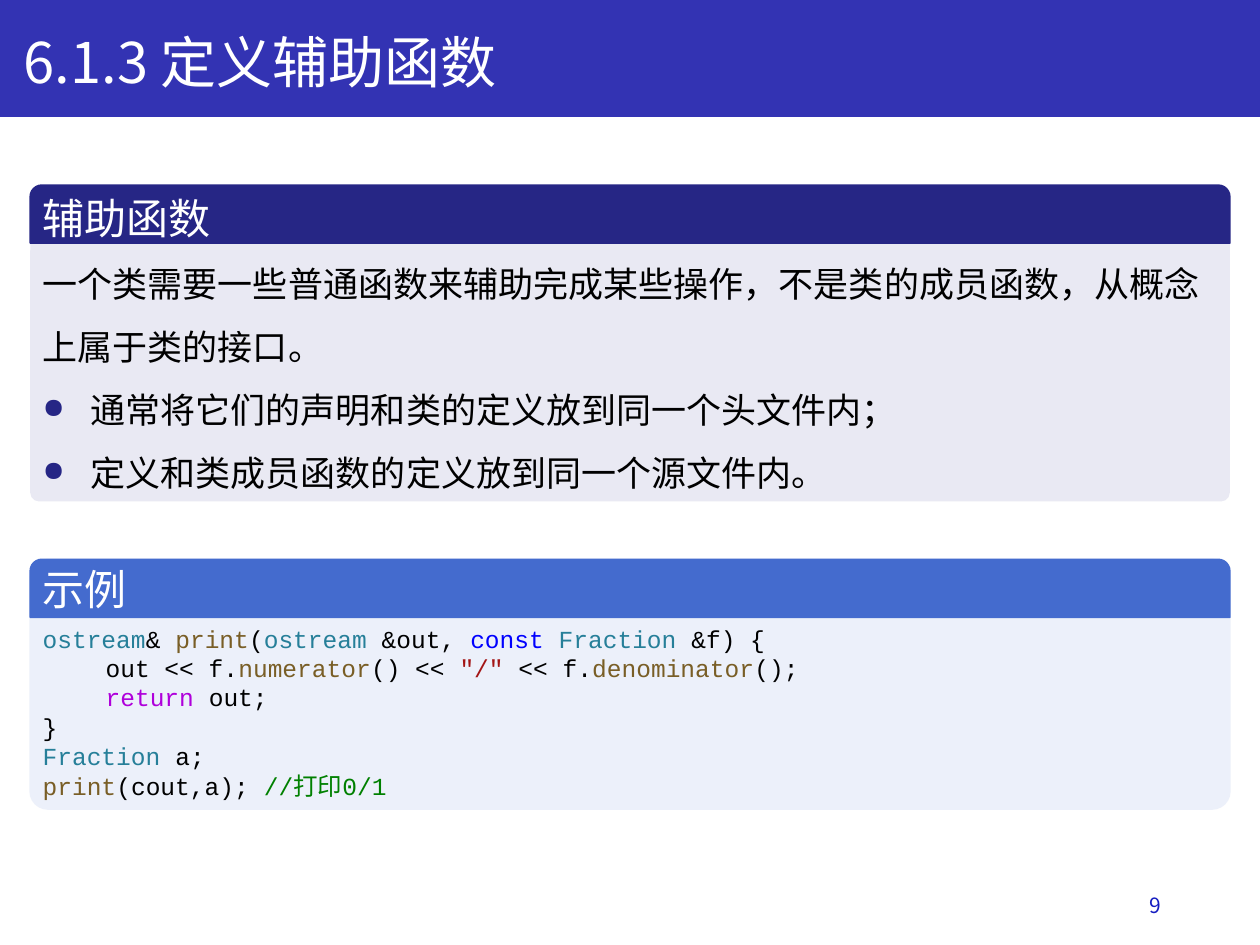
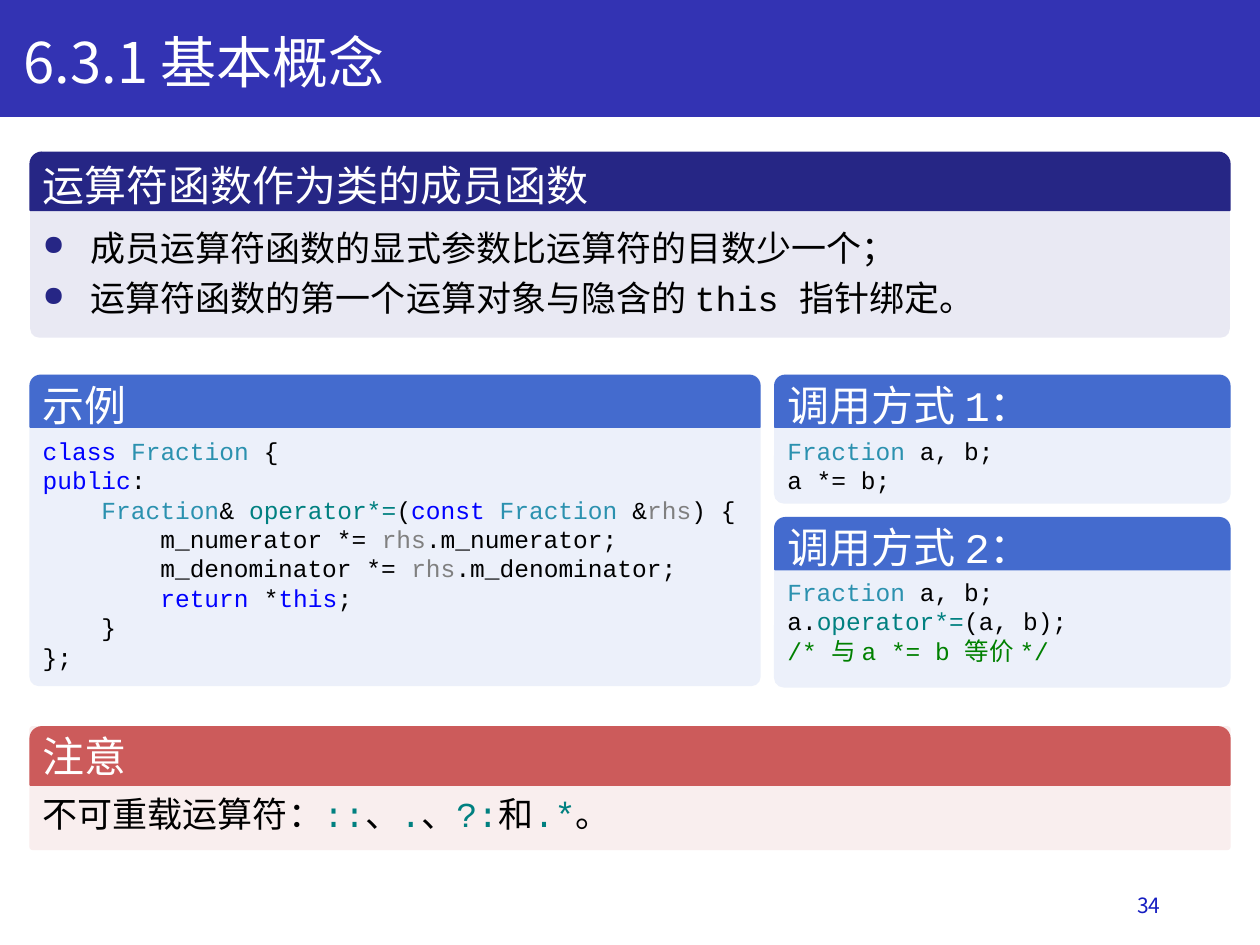
import lxml.etree
import pptx
import pptx.dml.color
import pptx.enum.shapes
import pptx.enum.text
import pptx.oxml.ns
import pptx.util

Inches = pptx.util.Inches
SHAPES = pptx.enum.shapes.MSO_SHAPE
ALIGN = pptx.enum.text.PP_ALIGN
ANCHOR = pptx.enum.text.MSO_ANCHOR

SANS, MONO = "Noto Sans CJK SC", "Courier New"
COLOURS = {
    "band": "3333B3", "number": "151DC1", "white": "FFFFFF", "black": "000000",
    "concept head": "262685", "concept body": "E9E9F3",
    "code head": "446BCE", "code body": "ECF0FA",
    "warning head": "CC5B5B", "warning body": "F9EEEE",
    "type": "267F99", "function": "795E26", "keyword": "0000FF",
    "string": "A31515", "control": "AF00DB", "comment": "008000",
    "class": "2B91AF", "operator": "008080", "parameter": "808080",
}
LEFT, FULL_WIDTH = 0.24, 9.52
RADIUS = 0.07
INDENT = 0.38
TAB = 0.5


def rgb(name):
    return pptx.dml.color.RGBColor.from_string(COLOURS[name])


def add_xml(parent, tag, **attributes):
    return lxml.etree.SubElement(parent, pptx.oxml.ns.qn(tag), attributes)


def add_bullet(properties):
    properties.set("marL", str(Inches(INDENT)))
    properties.set("indent", str(-Inches(INDENT)))
    colour = add_xml(properties, "a:buClr")
    add_xml(colour, "a:srgbClr", val=COLOURS["concept head"])
    add_xml(properties, "a:buSzPct", val="80000")
    add_xml(properties, "a:buChar", char="●")


def write(frame, lines, *, size, font=SANS, colour="black", align=ALIGN.LEFT,
          spacing=None, bullets_from=None):
    """Fill a frame; a line is a string or a list of strings and
    (text, colour[, font]) tuples."""
    for index, line in enumerate(lines):
        paragraph = frame.paragraphs[0] if index == 0 else frame.add_paragraph()
        properties = paragraph._p.get_or_add_pPr()
        if bullets_from is not None and index >= bullets_from:
            add_bullet(properties)
        tabs = add_xml(properties, "a:tabLst")
        add_xml(tabs, "a:tab", pos=str(Inches(TAB)), algn="l")
        paragraph.alignment = align
        if spacing:
            paragraph.line_spacing = spacing
        for part in [line] if isinstance(line, str) else line:
            text, tone, face = ((part,) if isinstance(part, str) else part) + (
                (colour, font) if isinstance(part, str) else (font,) * (3 - len(part)))
            run = paragraph.add_run()
            run.text = text
            run.font.size = pptx.util.Pt(size)
            run.font.name = face
            run.font.color.rgb = rgb(tone)
            add_xml(run._r.get_or_add_rPr(), "a:ea", typeface=SANS)


class Deck:
    def __init__(self):
        self.presentation = pptx.Presentation()
        self.presentation.slide_width = Inches(10)
        self.presentation.slide_height = Inches(7.5)
        self.slide = None

    def start_slide(self, title, number):
        self.slide = self.presentation.slides.add_slide(
            self.presentation.slide_layouts[6])
        self.shape(SHAPES.RECTANGLE, 0, 0, 10, 0.92, "band", outlined=True)
        self.text(7.06, 6.98, 2.25, 0.4, [number], size=12, colour="number",
                  align=ALIGN.RIGHT, anchor=ANCHOR.MIDDLE)
        self.text(0.09, 0.17, 9.67, 0.64, [title], size=32, colour="white")

    def shape(self, kind, left, top, width, height, fill, radius=None, outlined=False):
        shape = self.slide.shapes.add_shape(
            kind, Inches(left), Inches(top), Inches(width), Inches(height))
        shape.shadow.inherit = False
        shape.fill.solid()
        shape.fill.fore_color.rgb = rgb(fill)
        if outlined:
            shape.line.color.rgb = rgb(fill)
            shape.line.width = pptx.util.Pt(1)
        else:
            shape.line.fill.background()
        if radius:
            shape.adjustments[0] = radius / min(width, height)

    def text(self, left, top, width, height, lines, anchor=ANCHOR.TOP, **style):
        frame = self.slide.shapes.add_textbox(
            Inches(left), Inches(top), Inches(width), Inches(height)).text_frame
        frame.word_wrap = True
        frame.vertical_anchor = anchor
        write(frame, lines, **style)

    def panel(self, kind, heading, lines, *, top, height, left=LEFT,
              width=FULL_WIDTH, head_height=0.46, gap=0.01, radius=RADIUS, **style):
        """Rounded block with a coloured heading bar above its body text."""
        concept = kind == "concept"
        self.shape(SHAPES.ROUNDED_RECTANGLE, left, top, width, height,
                   f"{kind} body", radius, outlined=not concept)
        self.shape(SHAPES.ROUND_2_SAME_RECTANGLE, left, top, width, head_height,
                   f"{kind} head", 0.2 * head_height, outlined=True)
        self.text(left, top + (0.01 if concept else -0.02), width, 0.5, [heading],
                  size=24, font=SANS if concept else MONO, colour="white")
        body_offset = head_height + gap
        self.text(left, top + body_offset, width, height - body_offset, lines, **style)

    def code(self, heading, lines, **place):
        self.panel("code", heading, lines, size=14, font=MONO, **place)


def helper_functions(deck):
    deck.start_slide("6.1.3 定义辅助函数", "9")
    deck.panel("concept", "辅助函数", [
        "一个类需要一些普通函数来辅助完成某些操作，不是类的成员函数，从概念上属于类的接口。",
        "通常将它们的声明和类的定义放到同一个头文件内；",
        "定义和类成员函数的定义放到同一个源文件内。",
    ], top=1.47, height=2.51, gap=-0.06, size=20, spacing=1.5, bullets_from=1)
    deck.code("示例", [
        [("ostream", "type"), "& ", ("print", "function"), "(", ("ostream", "type"),
         " &out, ", ("const ", "keyword"), ("Fraction", "type"), " &f) {"],
        ["\tout << f.", ("numerator", "function"), "() << ", ('"/"', "string"),
         " << f.", ("denominator", "function"), "();"],
        [("\treturn", "control"), " out;"],
        "}",
        [("Fraction", "type"), " a;"],
        [("print", "function"), "(cout,a); ", ("//打印0/1", "comment")],
    ], top=4.44, height=1.98, gap=0, radius=0.14)


def operator_functions(deck):
    fraction, rhs = ("Fraction", "class"), ("rhs", "parameter")
    times_assign = ("operator*=", "operator")
    declaration = [fraction, " a, b;"]

    deck.start_slide("6.3.1 基本概念", "34")
    deck.panel("concept", "运算符函数作为类的成员函数", [
        "成员运算符函数的显式参数比运算符的目数少一个；",
        ["运算符函数的第一个运算对象与隐含的 ", ("this ", "black", MONO), "指针绑定。"],
    ], top=1.21, height=1.47, size=20, spacing=1.2, bullets_from=0)
    deck.code("示例", [
        [("class ", "keyword"), fraction, " {"],
        [("public", "keyword"), ":"],
        [("    Fraction", "class"), "& ", times_assign, "(", ("const ", "keyword"),
         fraction, " &", rhs, ") {"],
        ["        m_numerator *= ", rhs, ".m_numerator;"],
        ["        m_denominator *= ", rhs, ".m_denominator;"],
        [("        return", "keyword"), " *", ("this", "keyword"), ";"],
        "    }",
        "};",
    ], top=2.98, height=2.46, width=5.79, head_height=0.41, gap=0.02)
    calls = [
        ("调用方式 1：", 2.98, 1.01, 0.02, ["a *= b;"]),
        ("调用方式 2：", 4.11, 1.34, 0.01,
         [["a.", times_assign, "(a, b);"], [("/* 与 a *= b 等价 */", "comment")]]),
    ]
    for heading, top, height, gap, statements in calls:
        deck.code(heading, [declaration] + statements, top=top, height=height,
                  left=6.15, width=3.61, head_height=0.41, gap=gap)
    deck.panel("warning", "注意", [
        ["不可重载运算符：", ("::", "operator"), "、", (".", "operator"), "、",
         ("?:", "operator"), "和", (".*", "operator"), "。"],
    ], top=5.77, height=0.97, radius=0.02, size=20, font=MONO)


def main():
    deck = Deck()
    helper_functions(deck)
    operator_functions(deck)
    deck.presentation.save("out.pptx")


if __name__ == "__main__":
    main()
